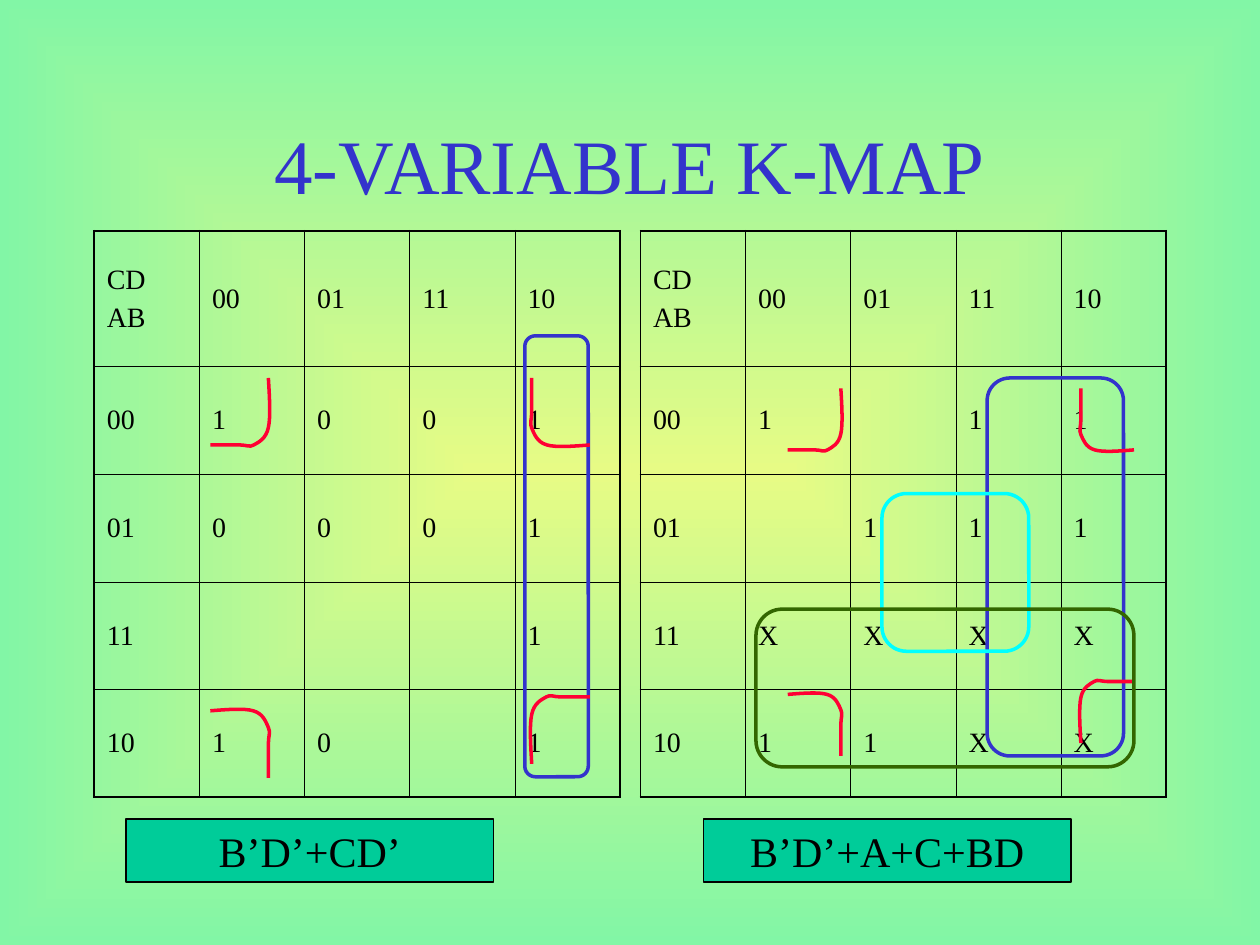
from lxml import etree
from pptx import Presentation
from pptx.dml.color import RGBColor
from pptx.enum.shapes import MSO_SHAPE
from pptx.enum.text import MSO_ANCHOR, PP_ALIGN
from pptx.oxml.ns import qn
from pptx.util import Cm, Pt

BOX = MSO_SHAPE.RECTANGLE
ROUND = MSO_SHAPE.ROUNDED_RECTANGLE
MIDDLE = MSO_ANCHOR.MIDDLE
CENTER = PP_ALIGN.CENTER
LEFT = PP_ALIGN.LEFT

BLACK = RGBColor(0x00, 0x00, 0x00)
BLUE = RGBColor(0x33, 0x33, 0xCC)
RED = RGBColor(0xFF, 0x00, 0x33)
CYAN = RGBColor(0x00, 0xFF, 0xFF)
OLIVE = RGBColor(0x33, 0x66, 0x00)
TEAL = RGBColor(0x00, 0xCC, 0x99)
YELLOW = RGBColor(0xE7, 0xFB, 0x85)
MINT = RGBColor(0x82, 0xF6, 0xA6)

FONT = "Times New Roman"
CODES = ["00", "01", "11", "10"]
LEFT_MAP = ["1001", "0001", "   1", "10 1"]
RIGHT_MAP = ["1 11", " 111", "XXXX", "11XX"]
CURVE = [(0, 0), (0.28, -0.02), (0.59, -0.04), (0.74, 0),
         (0.91, 0.04), (0.96, 0.17), (1, 0.25),
         (1.04, 0.32), (1, 0.38), (1, 0.49),
         (1, 0.62), (1, 0.91), (1, 1)]


def paint_back(slide):
    fill = slide.background.fill
    fill.gradient()
    for stop, color in zip(fill.gradient_stops, (YELLOW, MINT)):
        stop.color.rgb = color
    grad = slide.element.find(".//" + qn("a:gradFill"))
    grad.remove(grad.find(qn("a:lin")))
    shade = etree.SubElement(grad, qn("a:path"), path="rect")
    etree.SubElement(shade, qn("a:fillToRect"), l="50000", t="50000", r="50000", b="50000")


def add_text(para, text, size, color=BLACK, align=CENTER):
    para.alignment = align
    run = para.add_run()
    run.text = text
    run.font.name = FONT
    run.font.size = Pt(size)
    run.font.color.rgb = color


def add_title(slide, text):
    title = slide.shapes.title
    title.left, title.top, title.width, title.height = Cm(1.9), Cm(1.7), Cm(21.6), Cm(3.18)
    title.text_frame.vertical_anchor = MIDDLE
    add_text(title.text_frame.paragraphs[0], text, 44, BLUE)


def set_edge(cell, side, width):
    edge = etree.Element(qn("a:ln" + side), w=str(Pt(width)))
    fill = etree.SubElement(edge, qn("a:solidFill"))
    etree.SubElement(fill, qn("a:srgbClr"), val=str(BLACK))
    return edge


def fill_cell(cell, lines, outer):
    cell.fill.background()
    cell.vertical_anchor = MIDDLE
    for i, side in enumerate("LRTB"):
        edge = set_edge(cell, side, 1.08 if side in outer else 0.45)
        cell._tc.tcPr.insert(i, edge)
    frame = cell.text_frame
    for i, line in enumerate(lines):
        para = frame.add_paragraph() if i else frame.paragraphs[0]
        if i:
            para.space_before = Pt(4)
        add_text(para, line, 16, align=LEFT)


def add_map(slide, left, marks):
    rows = [[["CD", "AB"]] + [[code] for code in CODES]]
    for code, line in zip(CODES, marks):
        rows.append([[code]] + [mark.split() for mark in line])
    last = len(CODES)
    table = slide.shapes.add_table(5, 5, Cm(left), Cm(4.65), Cm(10.6), Cm(11.42)).table
    table.first_row = table.horz_banding = False
    for col in table.columns:
        col.width = Cm(2.12)
    for r, row in enumerate(rows):
        table.rows[r].height = Cm(2.17 if r else 2.74)
        for c, lines in enumerate(row):
            tests = {"L": c == 0, "R": c == last, "T": r == 0, "B": r == last}
            fill_cell(table.cell(r, c), lines, [s for s in tests if tests[s]])


def add_loop(slide, left, top, width, height, color):
    loop = slide.shapes.add_shape(ROUND, Cm(left), Cm(top), Cm(width), Cm(height))
    loop.shadow.inherit = False
    loop.fill.background()
    loop.line.color.rgb = color
    loop.line.width = Pt(2)


def add_curve(group, points):
    spots = [(Cm(x), Cm(y)) for x, y in points]
    pen = group.shapes.build_freeform(*spots[0])
    pen.add_line_segments(spots[1:], close=False)
    curve = pen.convert_to_shape()
    curve.shadow.inherit = False
    curve.fill.background()
    curve.line.color.rgb = RED
    curve.line.width = Pt(2)
    trace = curve._element.find(".//" + qn("a:path"))
    steps = trace.findall(qn("a:lnTo"))
    for i in range(0, len(steps), 3):
        bend = etree.SubElement(trace, qn("a:cubicBezTo"))
        for step in steps[i:i + 3]:
            bend.append(step[0])
            trace.remove(step)


def add_corners(slide, near, far, top, low, lift, width, height):
    group = slide.shapes.add_group_shape()
    turns = [(near, low, lambda u, v: (u, v)),
             (near, top, lambda u, v: (1 - v, u)),
             (far, low - lift, lambda u, v: (v, 1 - u)),
             (far, top, lambda u, v: (1 - u, 1 - v))]
    for x, y, turn in turns:
        spots = [turn(u, v) for u, v in CURVE]
        add_curve(group, [(x + u * width, y + v * height) for u, v in spots])


def add_label(slide, left, text):
    label = slide.shapes.add_shape(BOX, Cm(left), Cm(16.51), Cm(7.41), Cm(1.27))
    label.shadow.inherit = False
    label.fill.solid()
    label.fill.fore_color.rgb = TEAL
    label.line.color.rgb = BLACK
    label.line.width = Pt(0.75)
    frame = label.text_frame
    frame.word_wrap = False
    frame.vertical_anchor = MIDDLE
    add_text(frame.paragraphs[0], text, 24)


def main():
    deck = Presentation()
    deck.slide_width, deck.slide_height = Cm(25.4), Cm(19.05)
    slide = deck.slides.add_slide(deck.slide_layouts[5])
    paint_back(slide)
    add_title(slide, "4-VARIABLE K-MAP")

    add_map(slide, 1.9, LEFT_MAP)
    add_loop(slide, 10.58, 6.77, 1.28, 8.89, BLUE)
    add_corners(slide, 4.24, 10.72, 7.62, 14.33, 0.28, 1.17, 1.35)
    add_label(slide, 2.54, "B’D’+CD’")

    add_map(slide, 12.91, RIGHT_MAP)
    add_label(slide, 14.18, "B’D’+A+C+BD")
    add_loop(slide, 19.9, 7.62, 2.75, 7.62, BLUE)
    add_corners(slide, 15.88, 21.79, 7.83, 14, 0.26, 1.07, 1.24)
    add_loop(slide, 17.78, 9.95, 2.96, 3.18, CYAN)
    add_loop(slide, 15.24, 12.28, 7.62, 3.18, OLIVE)
    deck.save("out.pptx")


if __name__ == "__main__":
    main()
